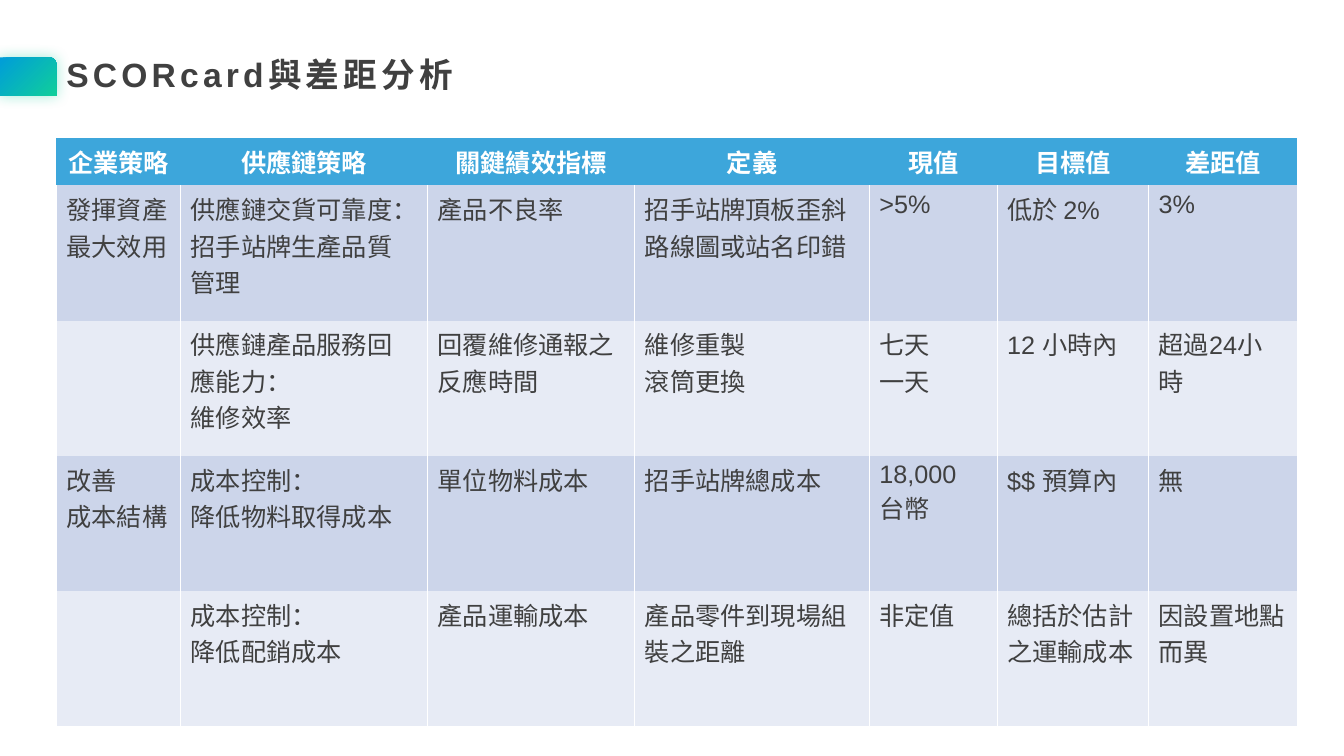
from dataclasses import dataclass

from lxml.etree import SubElement
from pptx import Presentation
from pptx.dml.color import RGBColor
from pptx.enum.shapes import MSO_SHAPE
from pptx.enum.text import MSO_ANCHOR, PP_ALIGN
from pptx.oxml import parse_xml
from pptx.oxml.ns import nsdecls, qn
from pptx.util import Inches, Pt

SLIDE_W, SLIDE_H = 13.33, 7.5


@dataclass(frozen=True)
class Theme:
    font: str = "Arial"
    title_size: int = 24
    cell_size: int = 18
    text: str = "404040"
    white: str = "FFFFFF"
    header: str = "3DA6DB"
    bands: tuple = ("CCD5EA", "E7EBF5")
    tag_green: str = "10CF9B"
    tag_blue: str = "009DD9"


THEME = Theme()

HEADINGS = ["企業策略", "供應鏈策略", "關鍵績效指標", "定義", "現值", "目標值", "差距值"]
SCORECARD = [
    ["發揮資產\n最大效用", "供應鏈交貨可靠度：\n招手站牌生產品質管理", "產品不良率",
     "招手站牌頂板歪斜\n路線圖或站名印錯", ">5%", "低於 2%", "3%"],
    ["", "供應鏈產品服務回應能力：\n維修效率", "回覆維修通報之\n反應時間",
     "維修重製\n滾筒更換", "七天\n一天", "12 小時內", "超過24小時"],
    ["改善\n成本結構", "成本控制：\n降低物料取得成本", "單位物料成本",
     "招手站牌總成本", "18,000\n台幣", "$$ 預算內", "無"],
    ["", "成本控制：\n降低配銷成本", "產品運輸成本",
     "產品零件到現場組裝之距離", "非定值", "總括於估計之運輸成本", "因設置地點而異"],
]
COLUMN_SHARES = [0.1, 0.199, 0.167, 0.189, 0.103, 0.122, 0.12]
HEADER_SHARE = 0.08


def style_font(font, size, color, bold):
    values = {"name": THEME.font, "size": Pt(size), "bold": bold}
    for name, value in values.items():
        setattr(font, name, value)
    font.color.rgb = RGBColor.from_string(color)


def add_tag(slide, left, top, width, height):
    tag = slide.shapes.add_shape(MSO_SHAPE.ROUND_1_RECTANGLE, Inches(left), Inches(top),
                                 Inches(width), Inches(height))
    tag.line.fill.background()
    # Radial gradient spreading from the lower right corner
    tag.fill.gradient()
    for stop, color in zip(tag.fill.gradient_stops, (THEME.tag_green, THEME.tag_blue)):
        stop.color.rgb = RGBColor.from_string(color)
    properties = tag.element.spPr
    linear = properties.find(".//" + qn("a:lin"))
    linear.getparent().replace(linear, parse_xml(
        f'<a:path {nsdecls("a")} path="circle"><a:fillToRect l="100000" t="100000"/></a:path>'))
    # Soft green glow
    tag.shadow.inherit = False
    properties.find(qn("a:effectLst")).append(parse_xml(
        f'<a:outerShdw {nsdecls("a")} blurRad="{Pt(10)}" dist="0" dir="0" algn="ctr" '
        f'rotWithShape="0"><a:srgbClr val="{THEME.tag_green}"><a:alpha val="40000"/>'
        '</a:srgbClr></a:outerShdw>'))


def add_title(slide, left, top, width, height):
    frame = slide.shapes.add_textbox(Inches(left), Inches(top),
                                     Inches(width), Inches(height)).text_frame
    frame.word_wrap = False
    frame.vertical_anchor = MSO_ANCHOR.MIDDLE
    title = frame.paragraphs[0].add_run()
    title.text = "SCORcard與差距分析"
    style_font(title.font, THEME.title_size, THEME.text, True)
    title.font._element.set("spc", "300")


def set_borders(cell, side_color):
    properties = cell._tc.get_or_add_tcPr()
    for position, side in enumerate("LRTB"):
        border = SubElement(properties, qn(f"a:ln{side}"), w=str(Pt(1)))
        if side_color and side in "LR":
            fill = SubElement(border, qn("a:solidFill"))
            SubElement(fill, qn("a:srgbClr"), val=side_color)
        else:
            SubElement(border, qn("a:noFill"))
        properties.insert(position, border)


def fill_cell(cell, text, is_header, background):
    cell.text = text
    cell.fill.solid()
    cell.fill.fore_color.rgb = RGBColor.from_string(background)
    cell.vertical_anchor = MSO_ANCHOR.MIDDLE if is_header else MSO_ANCHOR.TOP
    for paragraph in cell.text_frame.paragraphs:
        paragraph.alignment = PP_ALIGN.CENTER if is_header else PP_ALIGN.LEFT
        style_font(paragraph.font, THEME.cell_size,
                   THEME.white if is_header else THEME.text, is_header)
    set_borders(cell, None if is_header else THEME.white)


def add_scorecard(slide, left, top, width, height):
    rows = [HEADINGS] + SCORECARD
    table = slide.shapes.add_table(len(rows), len(HEADINGS), Inches(left), Inches(top),
                                   Inches(width), Inches(height)).table
    table.horz_banding = False
    for column, share in zip(table.columns, COLUMN_SHARES):
        column.width = Inches(width * share)
    body_share = (1 - HEADER_SHARE) / len(SCORECARD)
    for index, texts in enumerate(rows):
        is_header = index == 0
        table.rows[index].height = Inches(height * (HEADER_SHARE if is_header else body_share))
        background = THEME.header if is_header else THEME.bands[(index - 1) % 2]
        for column, text in enumerate(texts):
            fill_cell(table.cell(index, column), text, is_header, background)


def main():
    deck = Presentation()
    deck.slide_width, deck.slide_height = Inches(SLIDE_W), Inches(SLIDE_H)
    slide = deck.slides.add_slide(deck.slide_layouts[6])
    margin = SLIDE_W * 0.042
    # Heading
    add_tag(slide, 0, SLIDE_H * 0.076, margin, SLIDE_H * 0.051)
    add_title(slide, margin, SLIDE_H * 0.065, SLIDE_W * 0.31, SLIDE_H * 0.067)
    # Gap analysis table
    add_scorecard(slide, margin, SLIDE_H * 0.183, 12.31, SLIDE_H * 0.778)
    deck.save("out.pptx")


if __name__ == "__main__":
    main()
